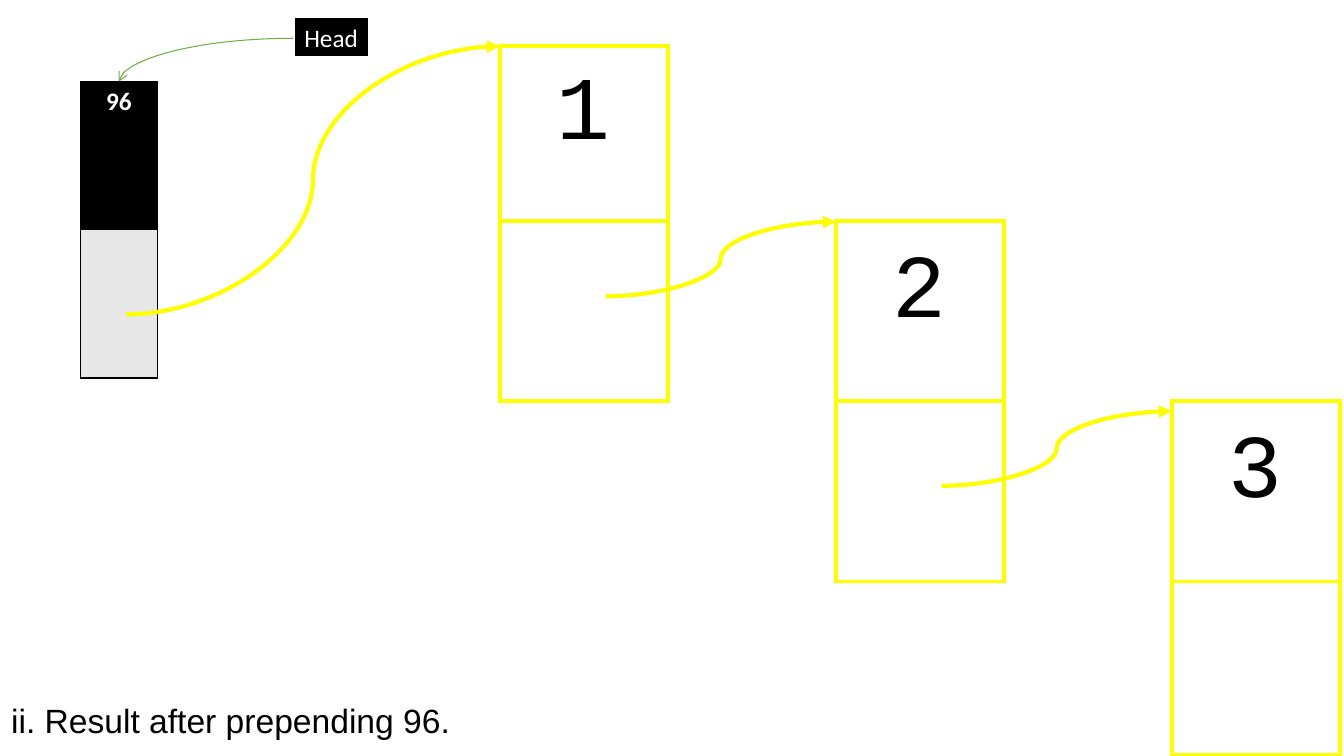
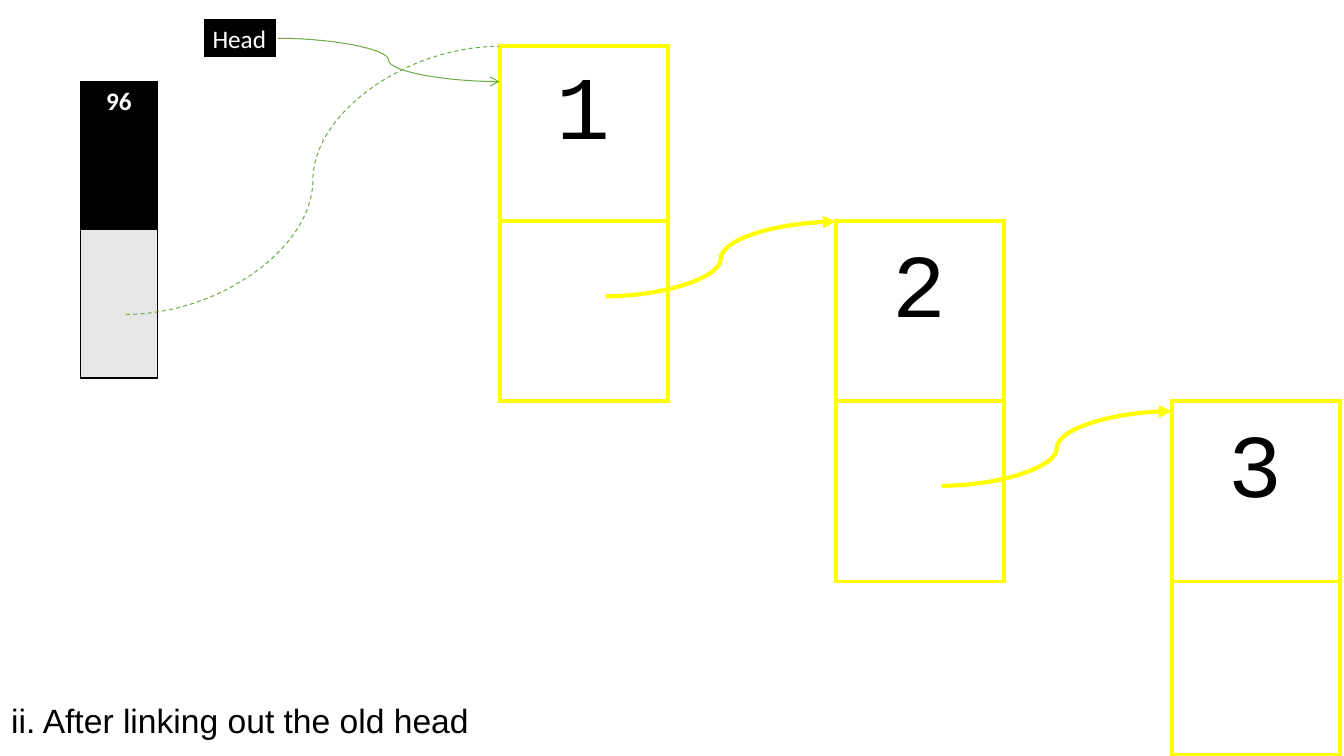
import pptx
import pptx.util
import pptx.dml.color
import pptx.enum.dml
import pptx.enum.shapes
import pptx.enum.text
import pptx.oxml
import pptx.oxml.ns
import lxml.etree

Inches = pptx.util.Inches
Pt = pptx.util.Pt
ALIGN = pptx.enum.text.PP_ALIGN
ANCHOR = pptx.enum.text.MSO_ANCHOR
FIT = pptx.enum.text.MSO_AUTO_SIZE

HUES = {
    "ink": "000000",
    "paper": "FFFFFF",
    "cell": "E7E7E7",
    "link": "FFFF00",
    "head": "70AD47",
}
FONTS = {
    "node": {"name": "Courier New", "size": Pt(64), "bold": False},
    "item": {"name": "Calibri", "size": Pt(18), "bold": True},
    "head": {"name": "Calibri", "size": Pt(18), "bold": False},
    "title": {"name": "Arial", "size": Pt(24), "bold": False},
}
PLAIN = "{2D5ABB26-0587-4C30-8999-92F81FD0307C}"
WIDE = 13.33
COLS = [WIDE / 8] * 8
ROWS = [1.73, 1.79, 1.79, 1.72, 1.72]
CHAIN = (3.29, 0.46)
FIRST = (CHAIN[0] + COLS[0], CHAIN[1])
STACK = (0.8, 0.81, 0.76, 1.47)
LABEL = (0.74, 0.4)
TITLE = (0.01, 6.69, 8, 0.7)


def rgb(hue):
    return pptx.dml.color.RGBColor.from_string(HUES[hue])


def put(thing, vals):
    for key, val in vals.items():
        setattr(thing, key, val)


def tag(name, **vals):
    node = lxml.etree.Element(pptx.oxml.ns.qn(name))
    for key, val in vals.items():
        node.set(key, str(val))
    return node


def write(frame, text, font, hue, **form):
    frame.text = text
    para = frame.paragraphs[0]
    put(para, form)
    face = para.runs[0].font
    put(face, FONTS[font])
    face.color.rgb = rgb(hue)


def edge(cell, hue, width):
    props = cell._tc.get_or_add_tcPr()
    for spot, side in enumerate("LRTB"):
        line = tag("a:ln" + side, w=Pt(width))
        fill = tag("a:solidFill")
        fill.append(tag("a:srgbClr", val=HUES[hue]))
        line.append(fill)
        props.insert(spot, line)


def grid(slide, left, top, cols, rows):
    frame = slide.shapes.add_table(
        len(rows), len(cols), Inches(left), Inches(top),
        Inches(sum(cols)), Inches(sum(rows)))
    table = frame.table
    put(table, {"first_row": False, "horz_banding": False})
    table._tbl.tblPr.find(pptx.oxml.ns.qn("a:tableStyleId")).text = PLAIN
    for col, width in zip(table.columns, cols):
        col.width = Inches(width)
    for row, height in zip(table.rows, rows):
        row.height = Inches(height)
    for cell in table.iter_cells():
        cell.fill.background()
    return table


def curve(slide, start, end, hue, width, tip=None, dash=False, bend=3):
    kind = pptx.enum.shapes.MSO_CONNECTOR.CURVE
    link = slide.shapes.add_connector(
        kind, *[Inches(val) for val in (*start, *end)])
    props = link._element.spPr
    props.find(pptx.oxml.ns.qn("a:prstGeom")).set(
        "prst", f"curvedConnector{bend}")
    link.line.color.rgb = rgb(hue)
    link.line.width = Pt(width)
    if dash:
        link.line.dash_style = pptx.enum.dml.MSO_LINE.DASH
    if tip:
        link.line._get_or_add_ln().append(tag("a:tailEnd", type=tip))
    props.append(tag("a:effectLst"))


def chain(slide, left, top, names):
    table = grid(slide, left, top, COLS, ROWS)
    for spot, name in enumerate(names):
        pair = [table.cell(spot + step, 2 * spot + 1) for step in (0, 1)]
        for cell in pair:
            edge(cell, "link", 3)
        pad = {f"margin_{side}": Inches(0.13)
               for side in ("left", "right", "top")}
        put(pair[0], {**pad, "margin_bottom": Inches(0.48),
                      "vertical_anchor": ANCHOR.MIDDLE})
        write(pair[0].text_frame, name, "node", "ink", alignment=ALIGN.CENTER)
    for spot in range(len(names) - 1):
        x = left + sum(COLS[:2 * spot + 1])
        y = top + 1.74 + 1.88 * spot
        curve(slide, (x + 1.05, y + 0.74), (x + 2 * COLS[0], y),
              "link", 3, "triangle")


def stack(slide, left, top, width, height, text):
    table = grid(slide, left, top, [width], [height] * 2)
    for cell, hue in zip(table.iter_cells(), ("ink", "cell")):
        cell.fill.solid()
        cell.fill.fore_color.rgb = rgb(hue)
        edge(cell, "ink", 1)
    write(table.cell(0, 0).text_frame, text, "item", "paper",
          alignment=ALIGN.CENTER)


def label(slide, left, top, width, height):
    box = slide.shapes.add_shape(
        pptx.enum.shapes.MSO_SHAPE.RECTANGLE,
        *[Inches(val) for val in (left, top, width, height)])
    box.shadow.inherit = False
    box.fill.solid()
    box.fill.fore_color.rgb = rgb("ink")
    box.line.color.rgb = rgb("paper")
    box.line.width = Pt(1.5)
    put(box.text_frame, {"word_wrap": False, "vertical_anchor": ANCHOR.TOP})
    write(box.text_frame, "Head", "head", "paper", alignment=ALIGN.LEFT)


def title(slide, left, top, width, height, text):
    box = slide.shapes.title
    put(box, {"left": Inches(left), "top": Inches(top),
              "width": Inches(width), "height": Inches(height)})
    put(box.text_frame, {"auto_size": FIT.NONE, "word_wrap": True,
                         "vertical_anchor": ANCHOR.TOP})
    write(box.text_frame, text, "title", "ink",
          alignment=ALIGN.LEFT, line_spacing=1.5)


def build(deck, text, spot, start, end, bend, link):
    slide = deck.slides.add_slide(deck.slide_layouts[5])
    chain(slide, *CHAIN, ["1", "2", "3"])
    curve(slide, start, end, "head", 0.75, "arrow", bend=bend)
    label(slide, *spot, *LABEL)
    title(slide, *TITLE, text)
    stack(slide, *STACK, "96")
    left, top, width, height = STACK
    curve(slide, (left + 0.45, top + 2.31), FIRST, **link)


def main():
    deck = pptx.Presentation()
    put(deck, {"slide_width": Inches(WIDE), "slide_height": Inches(7.5)})
    left, top, width, height = STACK
    build(deck, "ii. Result after prepending 96.", (2.92, 0.17),
          (2.92, 0.38), (left + width / 2, top), 2,
          {"hue": "link", "width": 3, "tip": "triangle"})
    build(deck, "ii. After linking out the old head", (2.01, 0.18),
          (2.75, 0.38), (FIRST[0], top), 3,
          {"hue": "head", "width": 0.75, "dash": True})
    deck.save("out.pptx")


if __name__ == "__main__":
    main()
